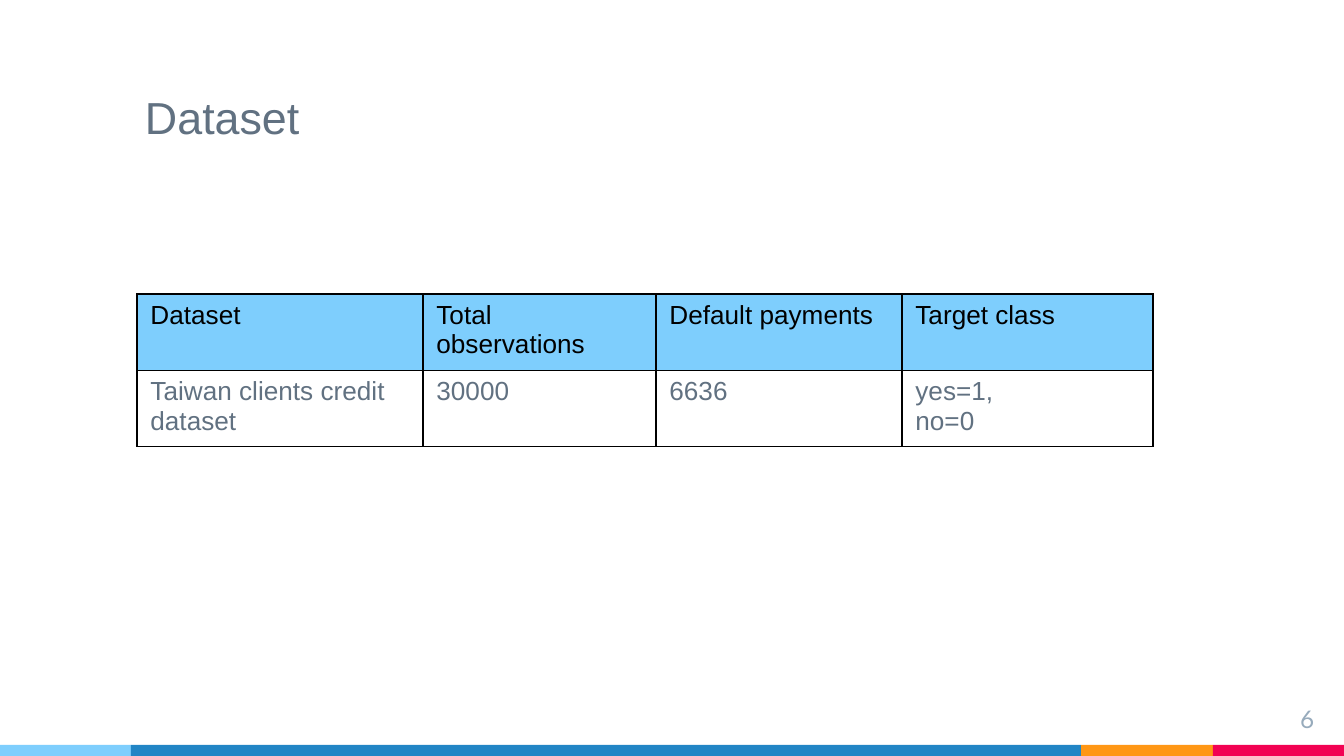
from lxml import etree
from pptx import Presentation
from pptx.dml.color import RGBColor
from pptx.enum.shapes import MSO_SHAPE
from pptx.enum.text import MSO_ANCHOR, PP_ALIGN
from pptx.oxml.ns import qn
from pptx.util import Pt

COLORS = {
    "sky": "7ECEFD", "blue": "2185C5", "orange": "FF9715", "red": "F20253",
    "slate": "617181", "mist": "97ABBC", "black": "000000",
}
STRIPES = [("sky", 131), ("blue", 950), ("orange", 132), ("red", 131)]
TITLE = "Dataset"
NUMBER = "6"
ROWS = [
    [["Dataset"], ["Total observations"], ["Default payments"], ["Target class"]],
    [["Taiwan clients credit dataset"], ["30000"], ["6636"], ["yes=1,", "no=0"]],
]
WIDTHS = [286, 233, 246, 251]
ROW_H = 72
WIDE, HIGH, STRIPE_H = 1344, 756, 11
PAD = 13


def px(n):
    return round(n * 914400 / 134.4)


def rgb(name):
    return RGBColor.from_string(COLORS[name])


def write(frame, lines, size, color, font="Arial", align=PP_ALIGN.LEFT):
    for i, line in enumerate(lines):
        para = frame.add_paragraph() if i else frame.paragraphs[0]
        para.alignment = align
        run = para.add_run()
        run.text = line
        run.font.size = Pt(size)
        run.font.name = font
        run.font.color.rgb = rgb(color)


def add_text(slide, box, anchor):
    frame = slide.shapes.add_textbox(*map(px, box)).text_frame
    frame.word_wrap = True
    frame.vertical_anchor = anchor
    frame.margin_left = frame.margin_right = px(PAD)
    frame.margin_top = frame.margin_bottom = px(PAD)
    return frame


def add_border(cell):
    """Draw a thin black line on all four sides; call before setting the fill."""
    props = cell._tc.get_or_add_tcPr()
    for side in ("a:lnL", "a:lnR", "a:lnT", "a:lnB"):
        line = etree.SubElement(props, qn(side), w=str(Pt(0.75)))
        fill = etree.SubElement(line, qn("a:solidFill"))
        etree.SubElement(fill, qn("a:srgbClr"), val=COLORS["black"])


def add_stripes(slide):
    left = 0
    for color, width in STRIPES:
        bar = slide.shapes.add_shape(
            MSO_SHAPE.RECTANGLE, px(left), px(HIGH - STRIPE_H), px(width), px(STRIPE_H))
        bar.shadow.inherit = False
        bar.fill.solid()
        bar.fill.fore_color.rgb = rgb(color)
        bar.line.fill.background()
        left += width


def add_grid(slide):
    box = (137, 294, sum(WIDTHS), ROW_H * len(ROWS))
    table = slide.shapes.add_table(len(ROWS), len(WIDTHS), *map(px, box)).table
    table.first_row = table.horz_banding = False
    for col, width in zip(table.columns, WIDTHS):
        col.width = px(width)
    for r, row in enumerate(ROWS):
        table.rows[r].height = px(ROW_H)
        for c, lines in enumerate(row):
            cell = table.cell(r, c)
            add_border(cell)
            if r == 0:
                cell.fill.solid()
                cell.fill.fore_color.rgb = rgb("sky")
            else:
                cell.fill.background()
            write(cell.text_frame, lines, 14, "slate" if r else "black")


def main():
    deck = Presentation()
    deck.slide_width, deck.slide_height = px(WIDE), px(HIGH)
    slide = deck.slides.add_slide(deck.slide_layouts[6])
    add_stripes(slide)
    title = add_text(slide, (132, 52, 950, 105), MSO_ANCHOR.BOTTOM)
    write(title, [TITLE], 24, "slate")
    number = add_text(slide, (1246, 691, 81, 46), MSO_ANCHOR.TOP)
    write(number, [NUMBER], 13, "mist", "Lato", PP_ALIGN.RIGHT)
    add_grid(slide)
    deck.save("out.pptx")


if __name__ == "__main__":
    main()
